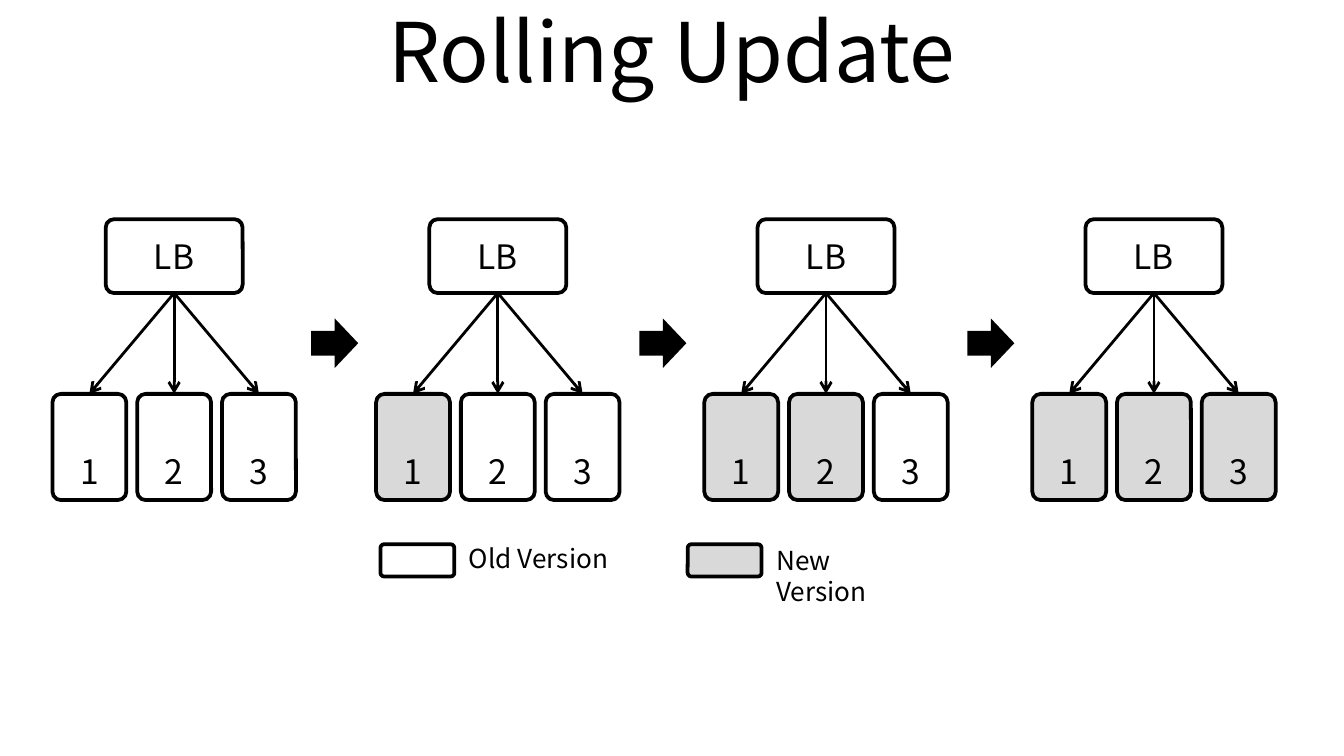
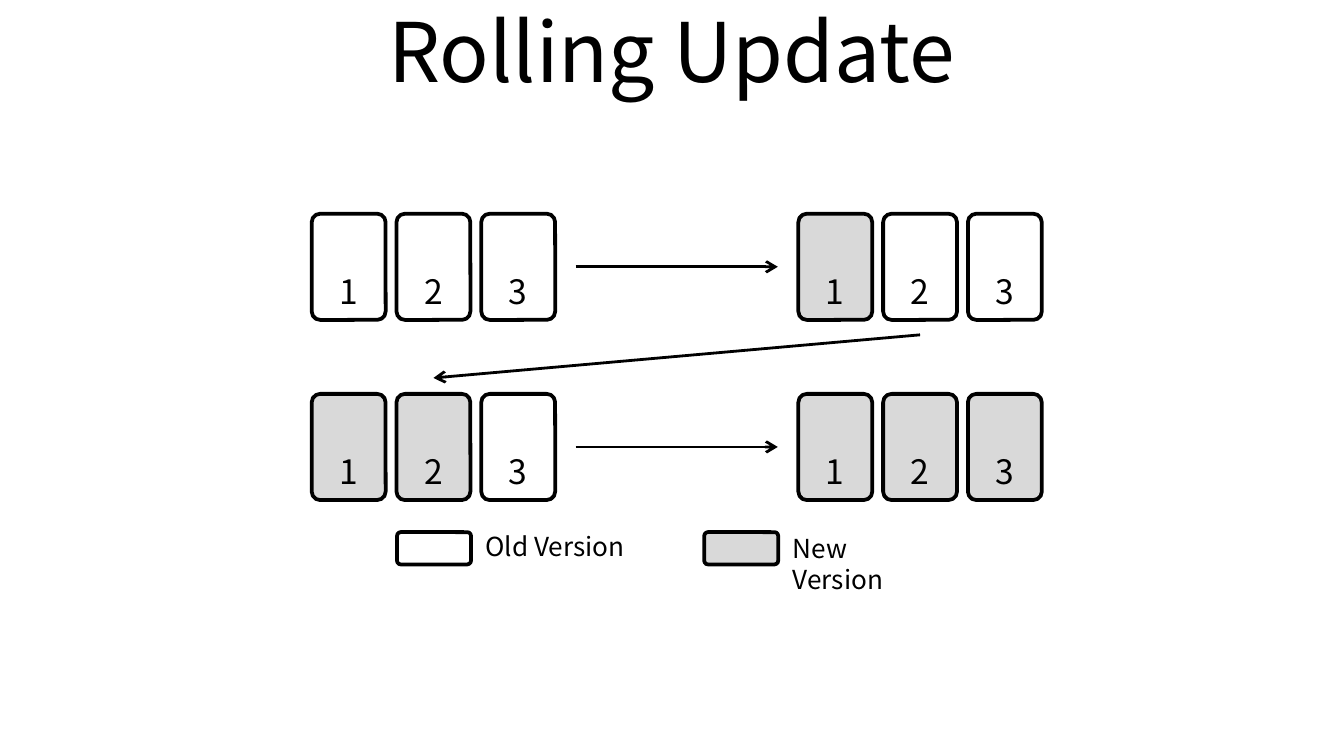
"""Build two slides that explain a rolling update."""
from typing import Any, NamedTuple, Optional

from lxml import etree
from pptx import Presentation
from pptx import util as u
from pptx.dml import color
from pptx.enum import shapes, text
from pptx.oxml import ns

FACE = "Noto Sans CJK KR"
INK = "000000"
NEW = "D9D9D9"
CARD_W, CARD_H, STEP = 39.6, 56.9, 45.4
LB_W, LB_H, LB_TOP = 73.4, 39.6, 117.4
ROW = 211
SPAN = 2 * STEP + CARD_W


class Box(NamedTuple):
    """Place and size in points."""
    x: float
    y: float
    w: float
    h: float

    def pts(self) -> list:
        """Give the four lengths as Pt values."""
        return [u.Pt(v) for v in self]


class Stage(NamedTuple):
    """A row of three cards, of which the first few are new."""
    x: float
    y: float
    new: int


class Key(NamedTuple):
    """A legend entry."""
    dx: float
    dy: float
    label: str
    fill: Optional[str]


KEYS = (Key(0, 0, "Old Version", None), Key(164.6, 0.7, "New Version", NEW))
FLOW = [Stage(x, ROW, n) for n, x in enumerate((28.1, 201.5, 377.3, 553))]
GRID = [Stage(x, y, 2 * r + c) for r, y in enumerate((114.5, ROW))
        for c, x in enumerate((167, 427.7))]


def rgb(code: str) -> color.RGBColor:
    """Turn a hex string into a colour."""
    return color.RGBColor.from_string(code)


def write(shape: Any, words: str, *, size: float = 18, align: Any = text.PP_ALIGN.CENTER,
          anchor: Any = text.MSO_ANCHOR.MIDDLE, wrap: bool = True,
          fit: Any = text.MSO_AUTO_SIZE.NONE) -> None:
    """Put formatted text in a shape."""
    frame = shape.text_frame
    frame.word_wrap, frame.auto_size, frame.vertical_anchor = wrap, fit, anchor
    para = frame.paragraphs[0]
    para.alignment = align
    run = para.add_run()
    run.text = words
    run.font.name, run.font.size = FACE, u.Pt(size)
    run.font.color.rgb = rgb(INK)


def block(tree: Any, kind: Any, box: Box, fill: Optional[str] = None, line: float = 2) -> Any:
    """Draw a preset shape without a shadow."""
    shape = tree.add_shape(kind, *box.pts())
    shape.shadow.inherit = False
    if fill:
        shape.fill.solid()
        shape.fill.fore_color.rgb = rgb(fill)
    else:
        shape.fill.background()
    if line:
        shape.line.color.rgb, shape.line.width = rgb(INK), u.Pt(line)
    else:
        shape.line.fill.background()
    return shape


def panel(tree: Any, box: Box, fill: Optional[str] = None) -> Any:
    """Draw a rounded outline."""
    shape = block(tree, shapes.MSO_SHAPE.ROUNDED_RECTANGLE, box, fill)
    shape.adjustments[0] = 0.114
    return shape


def arrow(tree: Any, x1: float, y1: float, x2: float, y2: float) -> Any:
    """Draw a line with an open arrowhead at its end."""
    link = tree.add_connector(shapes.MSO_CONNECTOR.STRAIGHT,
                              u.Pt(x1), u.Pt(y1), u.Pt(x2), u.Pt(y2))
    link.line.color.rgb, link.line.width = rgb(INK), u.Pt(1.5)
    etree.SubElement(link.line._get_or_add_ln(), ns.qn("a:tailEnd"), type="arrow")
    etree.SubElement(link._element.spPr, ns.qn("a:effectLst"))
    return link


def cards(tree: Any, stage: Stage) -> list:
    """Draw the three numbered cards of a stage as a group."""
    group = tree.add_group_shape().shapes
    made = []
    for i in range(3):
        box = Box(stage.x + i * STEP, stage.y, CARD_W, CARD_H)
        card = panel(group, box, NEW if i < stage.new else None)
        write(card, str(i + 1), anchor=text.MSO_ANCHOR.BOTTOM)
        made.append(card)
    return made


def legend(tree: Any, x: float, y: float) -> None:
    """Draw the legend from its top left corner."""
    group = tree.add_group_shape().shapes
    for key in KEYS:
        left = x + key.dx
        panel(group, Box(left, y, CARD_W, 17.3), key.fill)
        note = group.add_textbox(*Box(left + 40.3, y - 4.3 + key.dy, 92, 24.5).pts())
        write(note, key.label, size=14, align=text.PP_ALIGN.LEFT, wrap=False,
              anchor=text.MSO_ANCHOR.TOP, fit=text.MSO_AUTO_SIZE.SHAPE_TO_FIT_TEXT)


def start(deck: Any) -> Any:
    """Add a titled slide and return its shapes."""
    tree = deck.slides.add_slide(deck.slide_layouts[5]).shapes
    head = tree.title
    head.left, head.top, head.width, head.height = Box(36, -7.2, 648, 67.7).pts()
    write(head, "Rolling Update", size=44)
    return tree


def flow(tree: Any) -> None:
    """Draw the balancer above each stage, left to right."""
    for stage in FLOW:
        row = cards(tree, stage)
        mid = stage.x + SPAN / 2
        lb = panel(tree, Box(mid - LB_W / 2, LB_TOP, LB_W, LB_H))
        write(lb, "LB")
        for i, card in enumerate(row):
            link = arrow(tree, mid, LB_TOP + LB_H, mid + (i - 1) * STEP, ROW)
            link.begin_connect(lb, 2)
            link.end_connect(card, 0)
    for stage in FLOW[1:]:
        block(tree, shapes.MSO_SHAPE.RIGHT_ARROW,
              Box(stage.x - 34.8, 170.6, 25.2, 26.6), INK, 0)
    legend(tree, 203.8, 291.6)


def grid(tree: Any) -> None:
    """Draw the stages as two rows joined by arrows."""
    for stage in GRID:
        cards(tree, stage)
    for old, new in (GRID[:2], GRID[2:]):
        y = old.y + CARD_H / 2
        arrow(tree, old.x + SPAN + 11, y, new.x - 11, y)
    high, low = GRID[1:3]
    arrow(tree, high.x + SPAN / 2, high.y + CARD_H + 8, low.x + SPAN / 2, low.y - 8.5)
    legend(tree, 212.7, 285.1)


def main() -> None:
    """Build and save the deck."""
    deck = Presentation()
    deck.slide_width, deck.slide_height = u.Pt(720), u.Pt(405)
    for draw in (flow, grid):
        draw(start(deck))
    deck.save("out.pptx")


if __name__ == "__main__":
    main()
